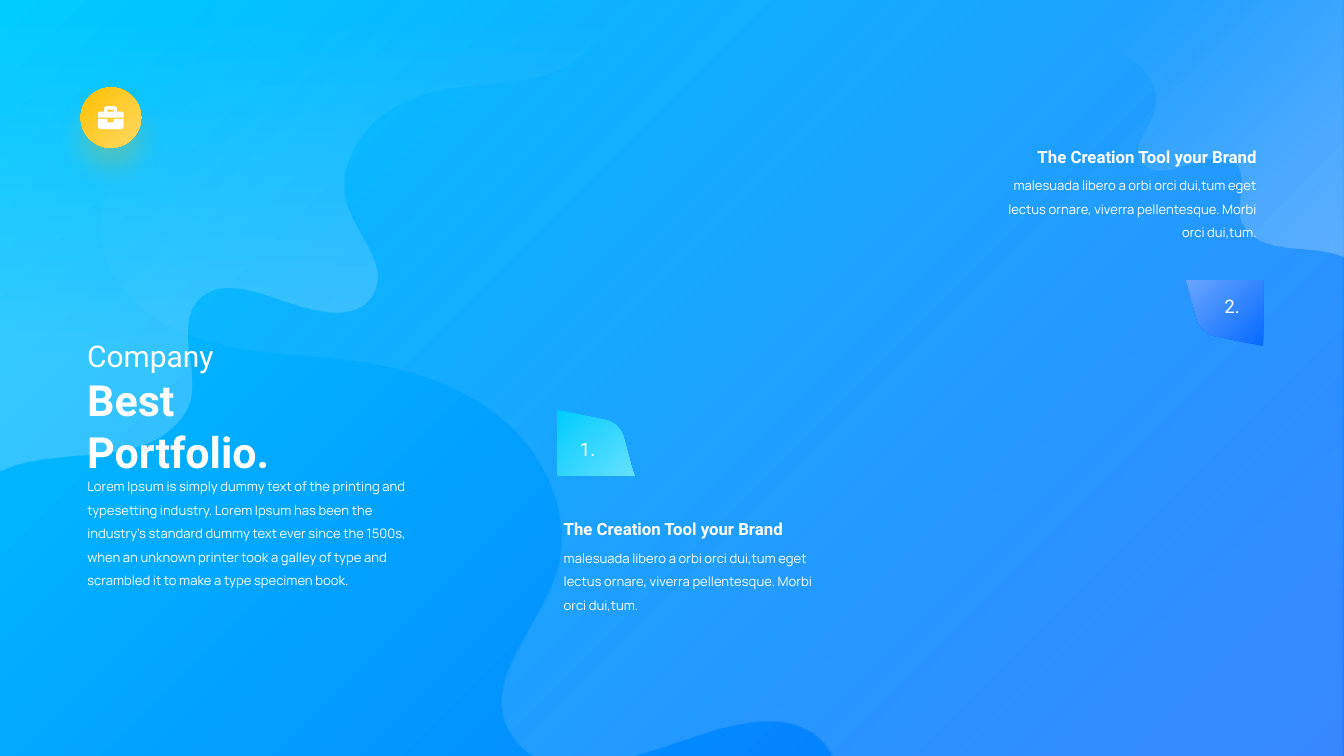
from dataclasses import dataclass
from lxml import etree
from pptx import Presentation
from pptx import util as u
from pptx.dml.color import RGBColor
from pptx.enum import shapes, text
from pptx.oxml.ns import qn


@dataclass(frozen=True)
class Theme:
    white: str = "FFFFFF"
    cyan: str = "00CCFF"
    light_cyan: str = "66E0FF"
    blue: str = "056AFF"
    light_blue: str = "69A6FF"
    gold: str = "FFC000"
    light_gold: str = "FFD966"
    display: str = "Roboto"
    body: str = "Manrope"
    title_size: int = 46
    kicker_size: int = 32
    number_size: int = 20
    heading_size: int = 18
    body_size: int = 14


THEME = Theme()
CELL = u.Inches(0.1)  # the slide is a grid of 200 columns by 112.5 rows
COLS, ROWS = 200, 112.5
LEFT, RIGHT = text.PP_ALIGN.LEFT, text.PP_ALIGN.RIGHT
CENTER = text.PP_ALIGN.CENTER

# Outlines are in tenths of a cell, with M, L, C and Z as in SVG.
CORNER_WAVE = """M 1512 0 L 2000 0 2000 383 1989 378
C 1953 367 1912 373 1878 359 1863 353 1850 341 1845 325 1841 311 1845 296 1846 280
1848 266 1846 249 1834 240 1821 231 1804 234 1790 238 1765 245 1712 270 1696 237
1684 215 1710 191 1717 167 1726 141 1712 112 1691 95 1669 79 1641 72 1615 70
1594 68 1573 67 1553 60 1534 54 1516 38 1512 19 1511 13 1511 9 1511 4 Z"""
MAIN_WAVE = """M 323 0 L 2000 0 2000 1125 1240 1125 1237 1119
C 1231 1109 1223 1100 1213 1092 1171 1063 1114 1073 1066 1086
1035 1095 992 1112 947 1124 L 943 1125 797 1125 791 1122
C 777 1113 766 1101 757 1084 720 1010 804 933 829 853 856 769 812 672 741 618
671 563 579 542 491 534 424 528 354 525 289 502 226 481 166 431 153 366
128 232 292 135 323 3 Z"""
LEFT_WAVE = """M 893 0 L 0 0 0 700 21 692
C 86 671 161 683 224 657 251 645 275 624 284 595 291 570 284 541 281 513
278 486 281 455 303 439 327 422 358 428 385 435 431 448 527 495 557 434
578 393 531 350 517 305 502 259 527 205 566 174 605 144 656 132 706 128
743 124 782 123 818 110 853 98 887 70 894 34 896 25 896 16 894 7 Z"""
TAG = "M 0 0 L 14 3 C 29 6 49 10 72 15 85 18 96 28 99 41 L 112 89 115 98 0 98 Z"
BRIEFCASE = """M 169 163 L 169 166 160 166 160 163 Z
M 159 158 C 156 158 155 160 155 162 L 155 166 149 166 C 147 166 146 167 146 169
L 146 175 184 175 184 169 C 184 167 183 166 181 166 L 174 166 174 162
C 174 160 172 158 171 158 Z
M 146 177 L 146 188 C 146 190 147 192 149 192 L 180 192 C 183 192 184 190 184 188
L 184 177 169 177 169 181 C 169 182 169 182 168 182 L 161 182
C 160 182 160 182 160 181 L 160 177 Z"""


def read_outline(outline):
    """Yield each command letter with its list of points."""
    command, numbers = None, []
    for token in outline.split() + ["end"]:
        if token.isalpha():
            if command:
                yield command, list(zip(numbers[::2], numbers[1::2]))
            command, numbers = token, []
        else:
            numbers.append(int(token))


class Canvas:
    def __init__(self, slide, theme):
        self.s = slide
        self.theme = theme

    def paint(self, sp, stops, angle=45):
        """Fill with one colour, or with two (position, colour, opacity) stops."""
        sp.shadow.inherit = False
        sp.line.fill.background()
        if isinstance(stops, str):
            sp.fill.solid()
            sp.fill.fore_color.rgb = RGBColor.from_string(stops)
            return sp
        sp.fill.gradient()
        sp.fill.gradient_angle = 360 - angle
        for stop, (position, color, _) in zip(sp.fill.gradient_stops, stops):
            stop.position = position / 100
            stop.color.rgb = RGBColor.from_string(color)
        colors = sp._element.spPr.iter(qn("a:srgbClr"))
        for color, (_, _, opacity) in zip(colors, stops):
            if opacity < 100:
                etree.SubElement(color, qn("a:alpha"), val=str(opacity * 1000))
        return sp

    def preset(self, kind, x, y, w, h, start, end):
        box = [u.Emu(round(v * CELL)) for v in (x, y, w, h)]
        sp = self.s.shapes.add_shape(kind, *box)
        return self.paint(sp, [(0, start, 100), (100, end, 100)])

    def outline(self, outline, stops, angle=45, x=0, y=0):
        builder, controls, points = None, [], []
        for command, pts in read_outline(outline):
            points += pts[2::3] if command == "C" else pts
            if command == "M":
                if builder:
                    builder.move_to(*pts[0])
                else:
                    builder = self.s.shapes.build_freeform(*pts[0], scale=CELL / 10)
            elif command == "L":
                builder.add_line_segments(pts, close=False)
                controls += [()] * len(pts)
            elif command == "C":
                builder.add_line_segments(pts[2::3], close=False)
                controls += zip(pts[::3], pts[1::3])
            else:
                builder.add_line_segments([], close=True)
        sp = builder.convert_to_shape(round(x * CELL), round(y * CELL))
        left, top = (min(values) for values in zip(*points))
        segments = list(sp._element.spPr.iter(qn("a:lnTo")))
        for segment, handles in zip(segments, controls):
            if handles:
                segment.tag = qn("a:cubicBezTo")
            for i, (px, py) in enumerate(handles):
                pt = etree.Element(qn("a:pt"), x=str(px - left), y=str(py - top))
                segment.insert(i, pt)
        return self.paint(sp, stops, angle)

    def glow(self, sp, color, opacity, blur, distance):
        """Cast a soft coloured shadow straight down."""
        effects = sp._element.spPr.find(qn("a:effectLst"))
        shadow = etree.SubElement(
            effects, qn("a:outerShdw"), blurRad=str(int(u.Pt(blur))),
            dist=str(int(u.Pt(distance))), dir="5400000", algn="t", rotWithShape="0")
        tint = etree.SubElement(shadow, qn("a:srgbClr"), val=color)
        etree.SubElement(tint, qn("a:alpha"), val=str(opacity * 1000))

    def label(self, x, y, w, h, lines, font, align=LEFT, spacing=None, wrap=True):
        """Add a text box; each line is (words, size, bold)."""
        box = [u.Emu(round(v * CELL)) for v in (x, y, w, h)]
        tf = self.s.shapes.add_textbox(*box).text_frame
        tf.word_wrap = wrap
        tf.auto_size = text.MSO_AUTO_SIZE.SHAPE_TO_FIT_TEXT
        for i, (words, size, bold) in enumerate(lines):
            p = tf.add_paragraph() if i else tf.paragraphs[0]
            p.alignment = align
            p.line_spacing = spacing
            r = p.add_run()
            r.text = words
            r.font.name, r.font.size, r.font.bold = font, u.Pt(size), bold
            r.font.color.rgb = RGBColor.from_string(self.theme.white)

    def body(self, x, y, w, h, words, align=LEFT):
        line = (words, self.theme.body_size, False)
        self.label(x, y, w, h, [line], self.theme.body, align, 1.5)

    def card(self, edge, y, heading, words, align):
        """Place a heading and its text against a left or right edge."""
        t = self.theme
        shift = 1 if align == RIGHT else 0
        self.label(edge - 38 * shift, y, 38, 4,
                   [(heading, t.heading_size, True)], t.display, align)
        self.body(edge - 42.5 * shift, y + 3.5, 42.5, 11.6, words, align)

    def tag(self, x, y, number, start, end, turned=False):
        t = self.theme
        sp = self.outline(TAG, [(0, start, 100), (100, end, 100)], x=x, y=y)
        sp.rotation = 180 if turned else 0
        dx, dy = (4.7, 1.7) if turned else (2.4, 3.6)
        self.label(x + dx, y + dy, 4.3, 4.4, [(number, t.number_size, False)],
                   t.display, CENTER, wrap=False)


def main():
    prs = Presentation()
    prs.slide_width, prs.slide_height = round(COLS * CELL), round(ROWS * CELL)
    t = THEME
    c = Canvas(prs.slides.add_slide(prs.slide_layouts[6]), t)

    c.preset(shapes.MSO_SHAPE.RECTANGLE, 0, 0, COLS, ROWS, t.cyan, t.blue)
    c.outline(CORNER_WAVE, [(22, t.white, 0), (100, t.white, 25)])
    c.outline(MAIN_WAVE, [(5, t.white, 0), (100, t.white, 20)])
    c.outline(LEFT_WAVE, [(5, t.white, 0), (75, t.white, 20)], angle=90)

    c.label(12, 49.8, 41.7, 14.1, [("Company", t.kicker_size, False),
                                   ("Best Portfolio.", t.title_size, True)], t.display)
    c.body(12, 69.6, 52.2, 22.2,
           "Lorem Ipsum is simply dummy text of the printing and typesetting industry. "
           "Lorem Ipsum has been the industry's standard dummy text ever since the 1500s, "
           "when an unknown printer took a galley of type and scrambled it to make a type "
           "specimen book.")

    heading = "The Creation Tool your Brand"
    words = ("malesuada libero a orbi orci dui,tum eget lectus ornare, viverra "
             "pellentesque. Morbi orci dui,tum.")
    for edge, y, align in ((82.9, 76.7, LEFT), (188, 21.3, RIGHT)):
        c.card(edge, y, heading, words, align)
    c.tag(82.9, 61, "1.", t.cyan, t.light_cyan)
    c.tag(176.5, 41.7, "2.", t.blue, t.light_blue, turned=True)

    badge = c.preset(shapes.MSO_SHAPE.OVAL, 12, 13, 9, 9, t.gold, t.light_gold)
    c.glow(badge, t.gold, opacity=23, blur=28, distance=21)
    c.outline(BRIEFCASE, t.white)
    prs.save("out.pptx")


if __name__ == "__main__":
    main()
